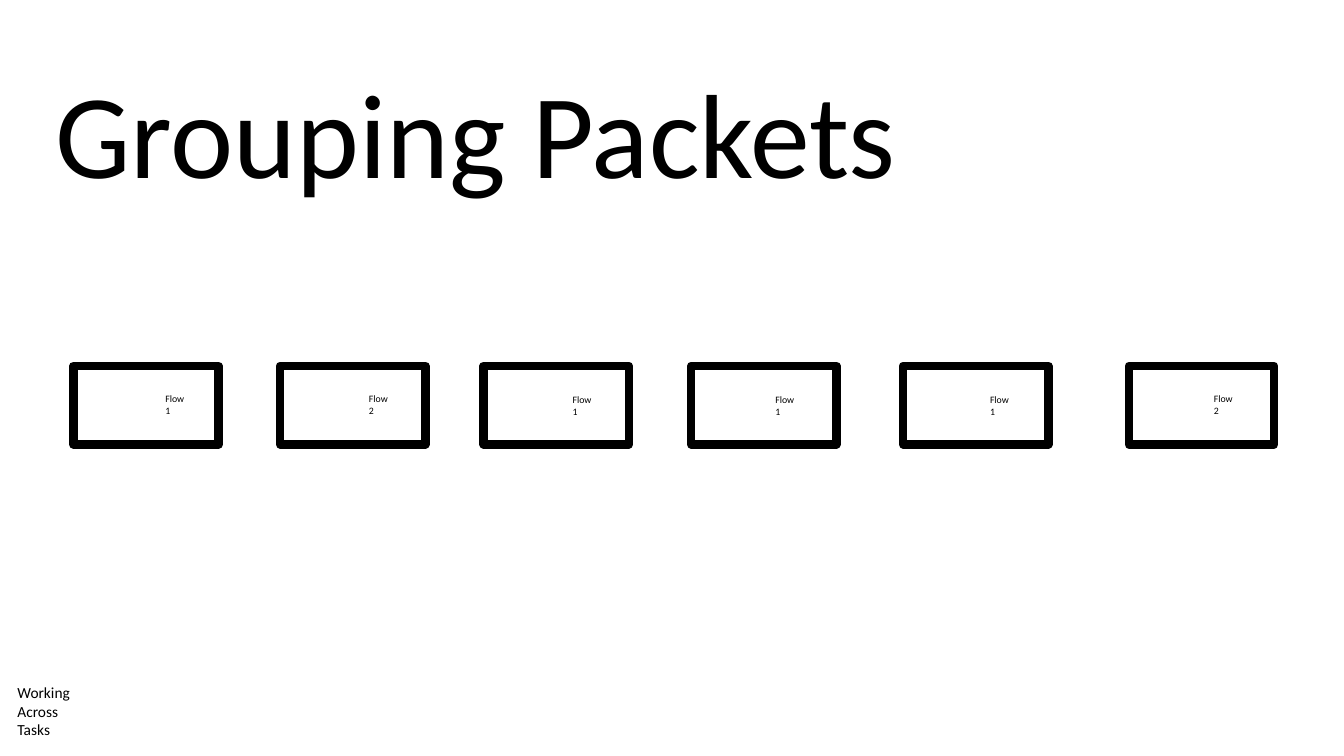
import dataclasses

import pptx
import pptx.dml.color
import pptx.enum.shapes
import pptx.enum.text
import pptx.util

Cm = pptx.util.Cm
Pt = pptx.util.Pt


@dataclasses.dataclass(frozen=True)
class Theme:
    font: str = "Calibri"
    ink: pptx.dml.color.RGBColor = pptx.dml.color.RGBColor(0, 0, 0)
    title_size: float = 85.5
    label_size: float = 7
    caption_size: float = 11
    border: float = 6


THEME = Theme()

# Packet left edge, flow name, label offset from the packet's corner (cm)
PACKETS = [
    (1.85, "Flow 1", 2.24, 0.76),
    (7.06, "Flow 2", 2.16, 0.76),
    (12.19, "Flow 1", 2.16, 0.79),
    (17.42, "Flow 1", 2.04, 0.79),
    (22.76, "Flow 1", 2.11, 0.79),
    (28.45, "Flow 2", 2.06, 0.76),
]


def format_text(frame, size, inset):
    frame.margin_left = frame.margin_right = Cm(inset)
    frame.margin_top = frame.margin_bottom = Cm(inset)
    for para in frame.paragraphs:
        para.alignment = pptx.enum.text.PP_ALIGN.LEFT
        for span in para.runs:
            span.font.name = THEME.font
            span.font.size = Pt(size)
            span.font.color.rgb = THEME.ink


def add_title(page, left, top, width, height):
    title = page.shapes.title
    title.left, title.top = Cm(left), Cm(top)
    title.width, title.height = Cm(width), Cm(height)
    frame = title.text_frame
    frame.text = "Grouping Packets"
    frame.word_wrap = True
    frame.auto_size = pptx.enum.text.MSO_AUTO_SIZE.NONE
    frame.vertical_anchor = pptx.enum.text.MSO_ANCHOR.TOP
    frame.paragraphs[0].line_spacing = 0.9
    format_text(frame, THEME.title_size, 0.25)


def add_note(page, text, size, left, top, width, height):
    box = page.shapes.add_textbox(Cm(left), Cm(top), Cm(width), Cm(height))
    frame = box.text_frame
    frame.text = text
    frame.word_wrap = False
    frame.auto_size = pptx.enum.text.MSO_AUTO_SIZE.SHAPE_TO_FIT_TEXT
    frame.vertical_anchor = pptx.enum.text.MSO_ANCHOR.MIDDLE
    format_text(frame, size, 0.08)


def add_packet(page, left, top, width, height, flow, label_x, label_y):
    box = page.shapes.add_shape(pptx.enum.shapes.MSO_SHAPE.RECTANGLE,
                                Cm(left), Cm(top), Cm(width), Cm(height))
    box.shadow.inherit = False
    box.fill.background()
    box.line.color.rgb = THEME.ink
    box.line.width = Pt(THEME.border)
    add_note(page, flow, THEME.label_size,
             left + label_x, top + label_y, 0.81, 0.43)


def add_packet_row(page, top, width, height):
    for left, flow, label_x, label_y in PACKETS:
        add_packet(page, left, top, width, height, flow, label_x, label_y)


def main():
    deck = pptx.Presentation()
    deck.slide_width, deck.slide_height = Cm(33.87), Cm(19.05)
    page = deck.slides.add_slide(deck.slide_layouts[5])

    # Heading
    add_title(page, 1.14, 1.65, 31.55, 2.13)
    # Row of packets, each with its flow
    add_packet_row(page, 9.22, 3.66, 1.98)
    # Corner caption
    add_note(page, "Working\nAcross\nTasks", THEME.caption_size,
             0.36, 17.15, 1.5, 1.55)

    deck.save("out.pptx")


if __name__ == "__main__":
    main()
